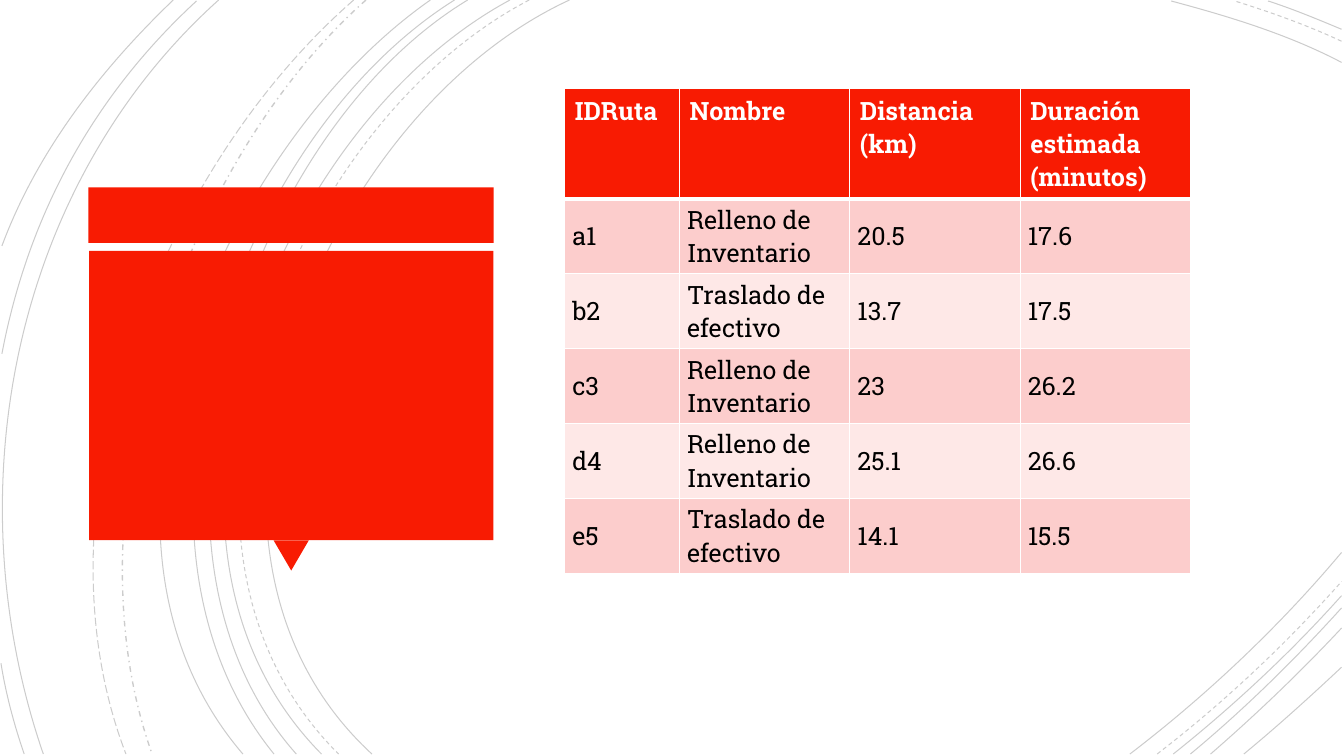
from lxml.etree import SubElement
from pptx import Presentation
from pptx.dml.color import RGBColor
from pptx.enum.dml import MSO_LINE
from pptx.enum.shapes import MSO_SHAPE
from pptx.enum.text import MSO_ANCHOR
from pptx.oxml.ns import qn
from pptx.util import Pt

HEADERS = ["IDRuta", "Nombre", "Distancia (km)", "Duración estimada (minutos)"]
ROUTES = [
    ("a1", "Relleno de Inventario", "20.5", "17.6"),
    ("b2", "Traslado de efectivo", "13.7", "17.5"),
    ("c3", "Relleno de Inventario", "23", "26.2"),
    ("d4", "Relleno de Inventario", "25.1", "26.6"),
    ("e5", "Traslado de efectivo", "14.1", "15.5"),
]
COLORS = {
    "background": "FFFFFF", "accent": "F81B02", "odd_row": "FCCDCC", "even_row": "FEE8E7",
    "header_text": "FFFFFF", "body_text": "000000", "border": "FFFFFF", "arc": "000000",
}
FONT = "Roboto Slab"
ARC_OPACITY = 20

TOP, BOTTOM, RIGHT = 0, 538.6, 958.3
SOLID, DASH = MSO_LINE.SOLID, MSO_LINE.DASH

# Arcs from the top edge to the bottom edge: top x, two control points, bottom x, dash, width
SWEEPS = [
    (406.8, (226.8, 82.8), (103, 388.8), 265.7, SOLID, 0.75),
    (378, (205.2, 90), (88.6, 386.6), 241.9, DASH, 0.75),
    (364.3, (194.4, 91.4), (79.2, 386.6), 229.7, SOLID, 0.75),
    (334.1, (175.7, 95.8), (79.2, 389.5), 211.7, SOLID, 0.75),
    (324.7, (166.3, 99.4), (69.8, 383.8), 195.8, SOLID, 0.75),
    (307.4, (156.2, 105.8), (38.2, 380.9), 173.5, SOLID, 0.75),
    (261.4, (126.7, 119.5), (46.8, 366.5), 108.7, MSO_LINE.DASH_DOT, 1),
    (252.7, (113, 121.7), (20.9, 359.3), 90, MSO_LINE.LONG_DASH, 0.75),
    (156.2, (7.9, 133.2), (-33.1, 352.8), 31, SOLID, 0.75),
]
# Arcs from the bottom edge to the right edge: bottom x, two control points, right y, dash
BOTTOM_CORNER = [
    (807.1, (861.8, 496.8), (913.7, 447.8), 394.6, SOLID),
    (826.6, (873.4, 502.6), (918, 460.8), 415.4, DASH),
    (838.1, (880.6, 504.7), (921.6, 466.6), 425.5, SOLID),
    (850.3, (888.5, 506.9), (924.5, 471.6), 434.2, SOLID),
    (864.7, (897.1, 510.5), (928.8, 480.2), 448.6, SOLID),
    (888.5, (912.2, 519.1), (935.3, 498.2), 476.6, SOLID),
]
# Arcs from the right edge to the top edge: right y, two control points, top x, dash
TOP_CORNER = [
    (44.6, (920.2, 24.5), (877, 11.5), 836.6, SOLID),
    (29.5, (933.8, 18), (907.2, 8.6), 882, DASH),
    (20.9, (941, 13.7), (923.8, 6.5), 905.8, SOLID),
]
LEFT_EDGE = [
    ((140.4, 0.7), (66.2, 69.1), (20.2, 154.1), (1.4, 252.7)),
    ((0.7, 473.8), (4.3, 496.1), (10.1, 517.7), (17.3, BOTTOM)),
    ((123.8, TOP), (72, 49.7), (26.6, 108), (1.4, 175.7)),
]
PANEL = [
    (MSO_SHAPE.RECTANGLE, (63.2, 133.9, 289.4, 39.6), 0),
    (MSO_SHAPE.ISOSCELES_TRIANGLE, (195.4, 385.9, 25.2, 21.6), 180),
    (MSO_SHAPE.RECTANGLE, (63.6, 179.3, 288.9, 206.6), 0),
]
TABLE_LEFT, TABLE_TOP = 403.4, 63.4
COLUMN_WIDTHS = [82, 121.7, 121.7, 121.7]
ROW_HEIGHTS = [78] + [53.5] * len(ROUTES)
HEADER_FORMAT = {"vertical_anchor": MSO_ANCHOR.TOP}
BODY_FORMAT = {
    "vertical_anchor": MSO_ANCHOR.MIDDLE, "margin_left": Pt(5.4), "margin_right": Pt(5.4),
    "margin_top": Pt(2.7), "margin_bottom": Pt(2.7),
}


def color(name):
    return RGBColor.from_string(COLORS[name])


def set_attributes(target, values):
    for name, value in values.items():
        setattr(target, name, value)


def add_arc(slide, points, dash=SOLID, width=0.75):
    """Draw one cubic curve: start, two control points, end."""
    start, *others = [(Pt(x), Pt(y)) for x, y in points]
    builder = slide.shapes.build_freeform(*start)
    builder.add_line_segments(others, close=False)
    shape = builder.convert_to_shape()
    shape.shadow.inherit = False
    shape.fill.background()
    set_attributes(shape.line, {"width": Pt(width), "dash_style": dash})
    shape.line.color.rgb = color("arc")

    segments = list(shape._element.iter(qn("a:lnTo")))
    outline = segments[0].getparent()
    curve = SubElement(outline, qn("a:cubicBezTo"))
    for segment in segments:
        curve.append(segment[0])
        outline.remove(segment)
    line_color = next(shape.line._ln.iter(qn("a:srgbClr")))
    SubElement(line_color, qn("a:alpha"), val=str(ARC_OPACITY * 1000))


def add_background_arcs(slide):
    for top_x, first, second, bottom_x, dash, width in SWEEPS:
        add_arc(slide, [(top_x, TOP), first, second, (bottom_x, BOTTOM)], dash, width)
    for bottom_x, first, second, right_y, dash in BOTTOM_CORNER:
        add_arc(slide, [(bottom_x, BOTTOM), first, second, (RIGHT, right_y)], dash)
    for right_y, first, second, top_x, dash in TOP_CORNER:
        add_arc(slide, [(RIGHT, right_y), first, second, (top_x, 0.7)], dash)
    for points in LEFT_EDGE:
        add_arc(slide, points)


def add_panel(slide):
    for kind, box, rotation in PANEL:
        shape = slide.shapes.add_shape(kind, *map(Pt, box))
        shape.rotation = rotation
        shape.shadow.inherit = False
        shape.fill.solid()
        shape.fill.fore_color.rgb = color("accent")
        shape.line.fill.background()


def add_borders(cell, widths):
    properties = cell._tc.get_or_add_tcPr()
    for position, (side, width) in enumerate(widths.items()):
        border = SubElement(properties, qn(f"a:{side}"), w=str(Pt(width)))
        fill = SubElement(border, qn("a:solidFill"))
        SubElement(fill, qn("a:srgbClr"), val=COLORS["border"])
        properties.insert(position, border)


def fill_cell(cell, text, row_number):
    is_header = row_number == 0
    row_fill = "accent" if is_header else "odd_row" if row_number % 2 else "even_row"
    cell.text = text
    set_attributes(cell, HEADER_FORMAT if is_header else BODY_FORMAT)
    font = cell.text_frame.paragraphs[0].runs[0].font
    set_attributes(font, {"name": FONT, "size": Pt(18), "bold": is_header})
    font.color.rgb = color("header_text" if is_header else "body_text")
    cell.fill.solid()
    cell.fill.fore_color.rgb = color(row_fill)
    add_borders(cell, {"lnL": 1, "lnR": 1, "lnT": 3 if row_number == 1 else 1,
                       "lnB": 3 if is_header else 1})


def add_route_table(slide):
    rows = [HEADERS, *ROUTES]
    table = slide.shapes.add_table(
        len(rows), len(HEADERS), Pt(TABLE_LEFT), Pt(TABLE_TOP),
        Pt(sum(COLUMN_WIDTHS)), Pt(sum(ROW_HEIGHTS))).table
    for column, width in zip(table.columns, COLUMN_WIDTHS):
        column.width = Pt(width)
    for row_number, (row, height, texts) in enumerate(zip(table.rows, ROW_HEIGHTS, rows)):
        row.height = Pt(height)
        for cell, text in zip(row.cells, texts):
            fill_cell(cell, text, row_number)


def main():
    presentation = Presentation()
    set_attributes(presentation, {"slide_width": Pt(960), "slide_height": Pt(540)})
    slide = presentation.slides.add_slide(presentation.slide_layouts[6])
    slide.background.fill.solid()
    slide.background.fill.fore_color.rgb = color("background")
    add_background_arcs(slide)
    add_panel(slide)
    add_route_table(slide)
    presentation.save("out.pptx")


if __name__ == "__main__":
    main()
